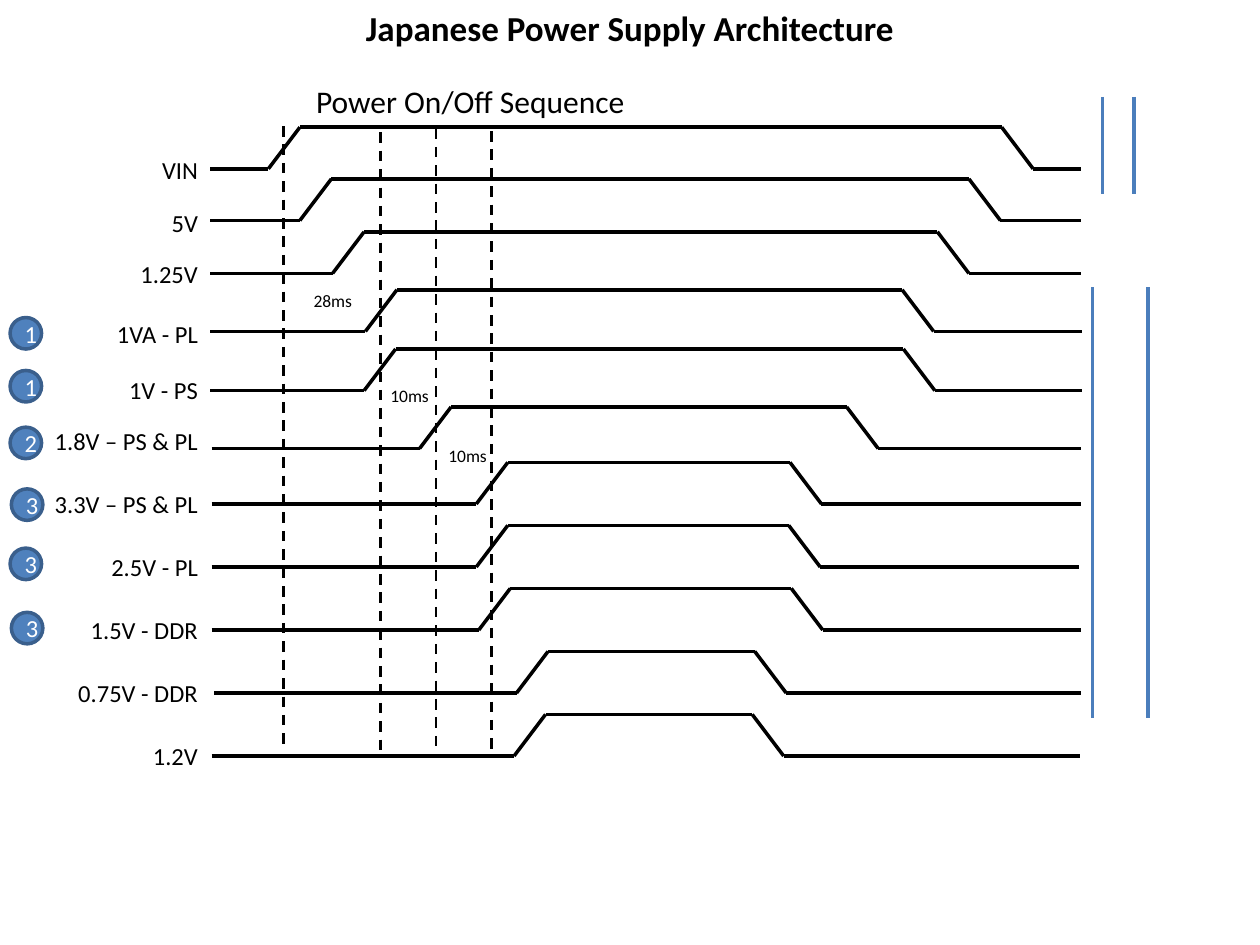
import itertools

import pptx
import pptx.dml.color
import pptx.enum.dml
import pptx.enum.shapes
import pptx.enum.text
import pptx.oxml
import pptx.oxml.ns
import pptx.util
from pptx.util import Inches

COLORS = {
    "ink": "000000",
    "badge": "4F81BD",
    "badge_edge": "3A5F8C",
    "marker": "4B7EBC",
    "white": "FFFFFF",
}
FONT = "Calibri"
RAMP = 0.25
SWING = 0.33
LABEL_RIGHT = 1.67
BADGE_SIZE = 0.25

RAILS = [
    ("VIN", 1.18, 0.49, 1.67, 2.13, 7.95, 8.58, 1.34),
    ("5V", 1.6, 0.41, 1.67, 2.38, 7.69, 8.58, 1.75),
    ("1.25V", 2.01, 0.66, 1.67, 2.64, 7.44, 8.58, 2.17),
    ("1VA - PL", 2.48, 0.85, 1.67, 2.9, 7.16, 8.59, 2.63),
    ("1V - PS", 2.93, 0.75, 1.67, 2.89, 7.17, 8.59, 3.1),
    ("1.8V – PS & PL", 3.33, 1.34, 1.68, 3.33, 6.72, 8.58, 3.56),
    ("3.3V – PS & PL", 3.83, 1.34, 1.68, 3.78, 6.27, 8.58, 4.0),
    ("2.5V - PL", 4.33, 0.89, 1.68, 3.78, 6.26, 8.56, 4.5),
    ("1.5V - DDR", 4.83, 1.06, 1.68, 3.8, 6.28, 8.58, 5.0),
    ("0.75V - DDR", 5.33, 1.16, 1.7, 4.1, 5.99, 8.58, 5.5),
    ("1.2V", 5.83, 0.56, 1.68, 4.08, 5.97, 8.57, 6.0),
]
STAGES = [("1", 0.08, 2.52), ("1", 0.08, 2.94), ("2", 0.08, 3.39),
          ("3", 0.09, 3.88), ("3", 0.08, 4.35), ("3", 0.09, 4.86)]
TIME_MARKS = [(2.25, 1.0, 5.95), (3.02, 1.05, 6.01),
              (3.46, 1.02, 5.98), (3.9, 1.04, 6.0)]
DELAYS = [("28ms", 2.39, 2.25), ("10ms", 3.0, 3.01), ("10ms", 3.46, 3.48)]
MARKER_PAIRS = [((8.67, 9.11), 2.28, 5.7), ((8.75, 9.0), 0.77, 1.54)]


class SequenceSlide:
    def __init__(self, slide):
        self.slide = slide
        self.shapes = slide.shapes

    def color(self, name):
        return pptx.dml.color.RGBColor.from_string(COLORS[name])

    def set_text(self, frame, text, size, align, color="ink", bold=False):
        frame.text = text
        paragraph = frame.paragraphs[0]
        paragraph.alignment = align
        paragraph.font.name = FONT
        paragraph.font.size = pptx.util.Pt(size)
        paragraph.font.bold = bold
        paragraph.font.color.rgb = self.color(color)

    def title(self, text):
        title = self.shapes.title
        title.left, title.top = Inches(0), Inches(0)
        title.width, title.height = Inches(10), Inches(0.44)
        frame = title.text_frame
        frame.vertical_anchor = pptx.enum.text.MSO_ANCHOR.TOP
        frame.auto_size = pptx.enum.text.MSO_AUTO_SIZE.SHAPE_TO_FIT_TEXT
        self.set_text(frame, text, 20, pptx.enum.text.PP_ALIGN.CENTER, bold=True)

    def label(self, text, left, top, width, height, size,
              align=pptx.enum.text.PP_ALIGN.LEFT):
        box = self.shapes.add_textbox(Inches(left), Inches(top),
                                      Inches(width), Inches(height))
        box.text_frame.word_wrap = False
        box.text_frame.auto_size = pptx.enum.text.MSO_AUTO_SIZE.SHAPE_TO_FIT_TEXT
        self.set_text(box.text_frame, text, size, align)

    def line(self, start, end, color="ink", width=2, dashed=False, group=None):
        shapes = group.shapes if group is not None else self.shapes
        line = shapes.add_connector(
            pptx.enum.shapes.MSO_CONNECTOR.STRAIGHT,
            *(Inches(value) for value in (*start, *end)))
        line.line.color.rgb = self.color(color)
        line.line.width = pptx.util.Pt(width)
        if dashed:
            line.line.dash_style = pptx.enum.dml.MSO_LINE.DASH
        properties = line._element.spPr
        properties.append(properties.makeelement(
            pptx.oxml.ns.qn("a:effectLst"), {}))

    def waveform(self, start, rise, fall, end, low):
        high = low - SWING
        corners = [(start, low), (rise, low), (rise + RAMP, high),
                   (fall, high), (fall + RAMP, low), (end, low)]
        for first, second in itertools.pairwise(corners):
            self.line(first, second)

    def badge(self, number, left, top):
        badge = self.shapes.add_shape(
            pptx.enum.shapes.MSO_SHAPE.OVAL, Inches(left), Inches(top),
            Inches(BADGE_SIZE), Inches(BADGE_SIZE))
        badge.shadow.inherit = False
        badge.fill.solid()
        badge.fill.fore_color.rgb = self.color("badge")
        badge.line.color.rgb = self.color("badge_edge")
        badge.line.width = pptx.util.Pt(2)
        badge.text_frame.vertical_anchor = pptx.enum.text.MSO_ANCHOR.MIDDLE
        self.set_text(badge.text_frame, number, 14,
                      pptx.enum.text.PP_ALIGN.CENTER, "white")

    def marker_pair(self, columns, top, bottom):
        group = self.shapes.add_group_shape()
        for x in columns:
            self.line((x, top), (x, bottom), "marker", group=group)


def main():
    presentation = pptx.Presentation()
    presentation.slide_width = Inches(10)
    presentation.slide_height = Inches(7.5)
    page = SequenceSlide(
        presentation.slides.add_slide(presentation.slide_layouts[5]))

    page.title("Japanese Power Supply Architecture")
    page.label("Power On/Off Sequence", 2.41, 0.6, 2.68, 0.4, 18)
    for name, label_top, label_width, *wave in RAILS:
        page.label(name, LABEL_RIGHT - label_width, label_top, label_width,
                   0.34, 14, pptx.enum.text.PP_ALIGN.RIGHT)
        page.waveform(*wave)
    for stage in STAGES:
        page.badge(*stage)
    for pair in MARKER_PAIRS:
        page.marker_pair(*pair)
    for x, top, bottom in TIME_MARKS:
        page.line((x, top), (x, bottom), width=1.5, dashed=True)
    for delay, left, top in DELAYS:
        page.label(delay, left, top, 0.51, 0.27, 10)

    presentation.save("out.pptx")


if __name__ == "__main__":
    main()
